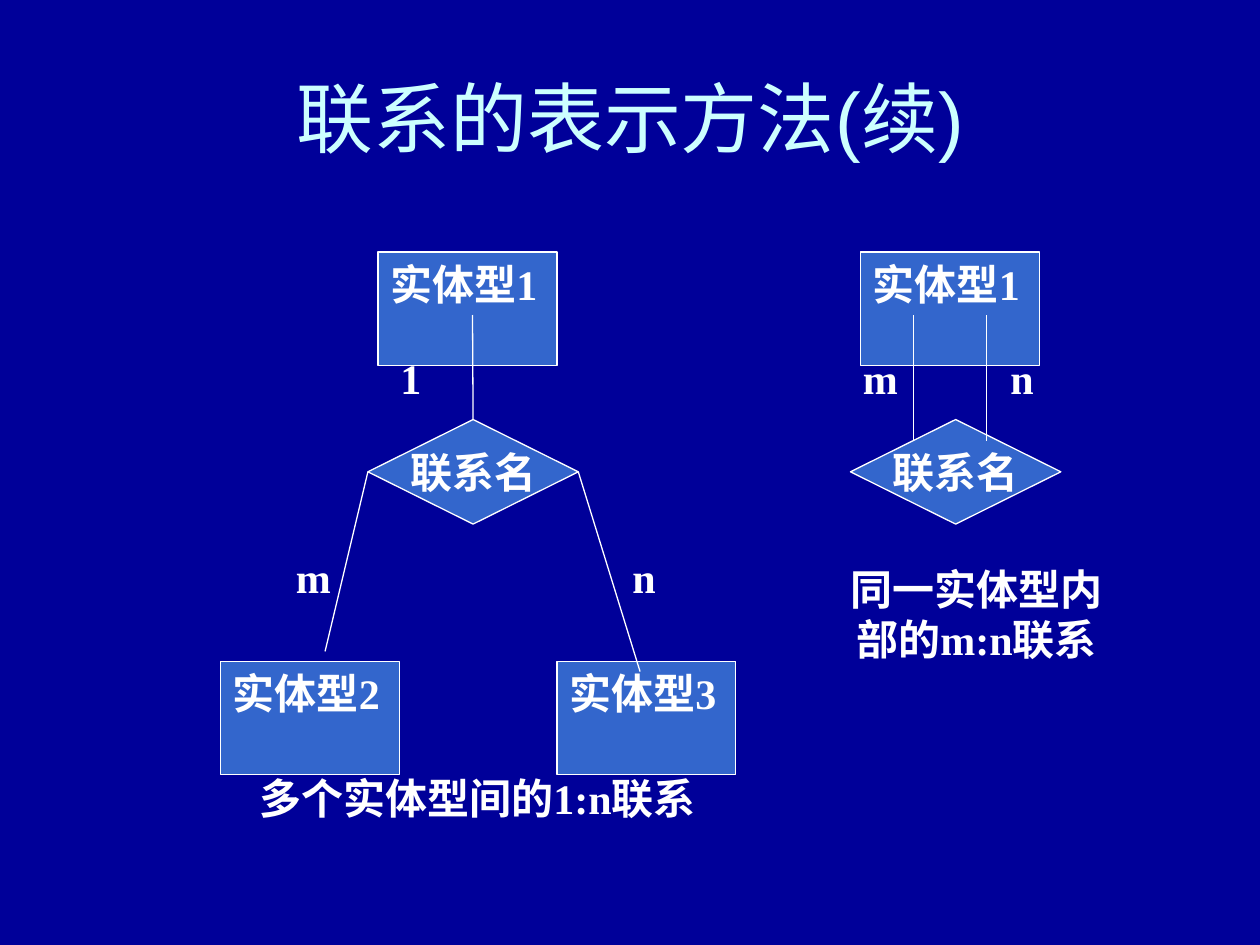
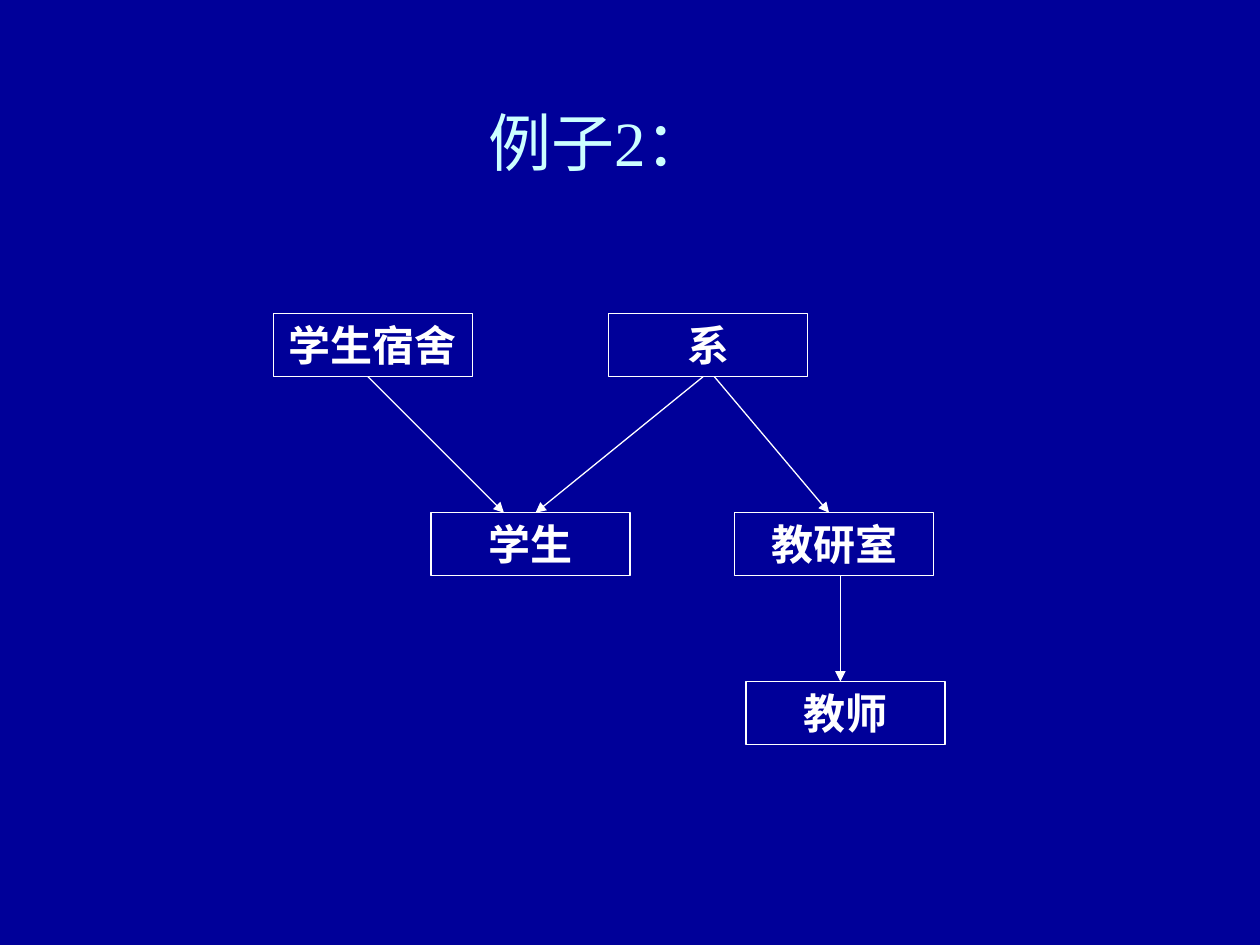
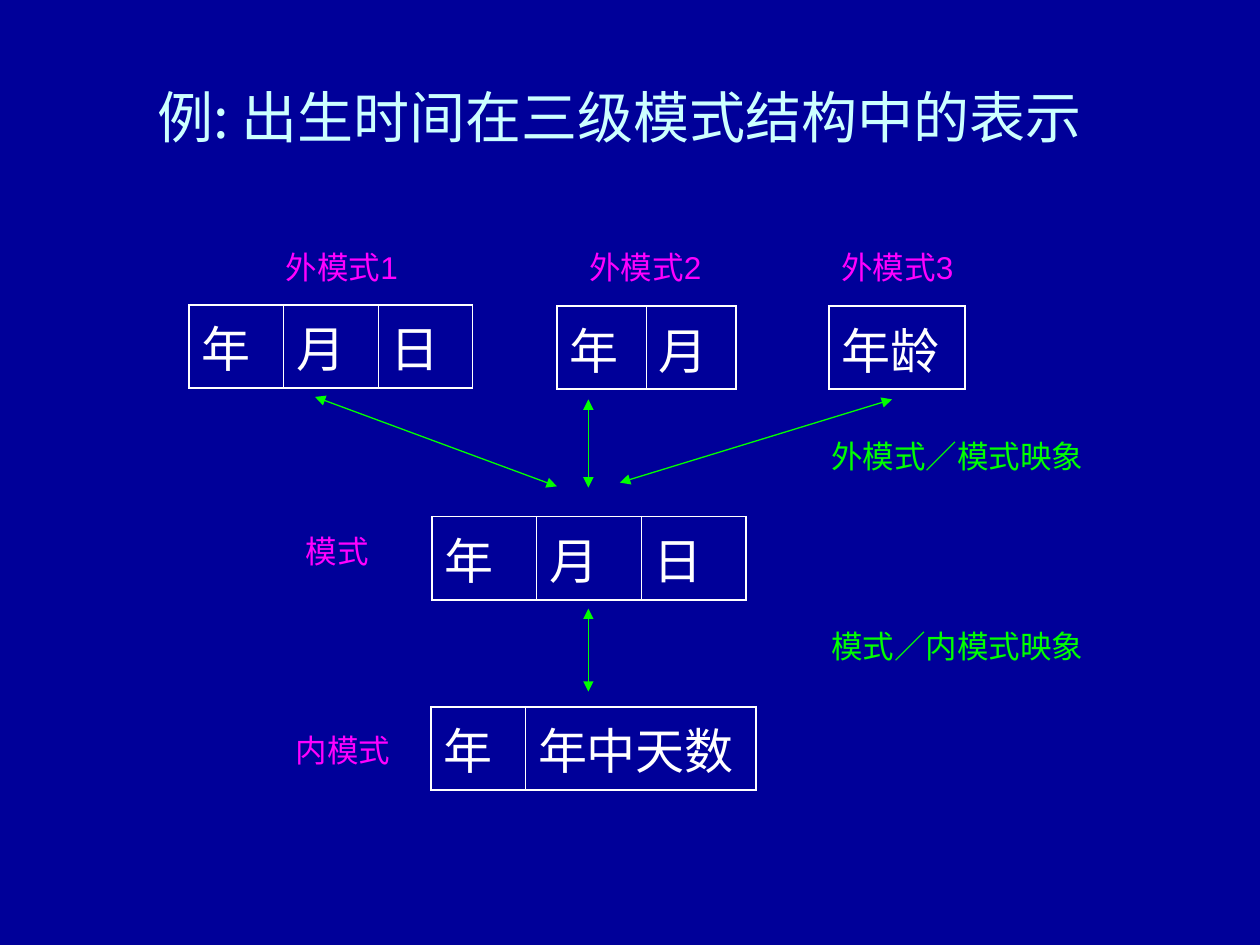
from lxml import etree
from pptx import Presentation
from pptx import util as u
from pptx.dml import color
from pptx.enum import shapes, text
from pptx.oxml import ns

NAVY, BLUE, PALE = "000099", "3366CC", "CCFFFF"
WHITE, PINK, GREEN = "FFFFFF", "FF00FF", "00FF00"
SERIF, SANS, CJK = "Times New Roman", "Arial", "Noto Sans CJK JP"
RECT, GEM = shapes.MSO_SHAPE.RECTANGLE, shapes.MSO_SHAPE.DIAMOND
MID, LEFT = text.PP_ALIGN.CENTER, text.PP_ALIGN.LEFT
TOP, RIGHT_SIDE, LEFT_SIDE = 0, 3, 1


def rgb(code):
    return color.RGBColor.from_string(code)


def inch(*sizes):
    return [u.Inches(size) for size in sizes]


class Deck:
    """Holds the shared style and the current slide."""

    def __init__(self):
        self.prs = Presentation()
        self.prs.slide_width, self.prs.slide_height = inch(10, 7.5)
        fill = self.prs.slide_master.background.fill
        fill.solid()
        fill.fore_color.rgb = rgb(NAVY)

    def start(self, words, left, top, size, font):
        """Add a slide with its title."""
        self.slide = self.prs.slides.add_slide(self.prs.slide_layouts[6])
        box = self.slide.shapes.add_textbox(*inch(left, top, 9, 1.25))
        self.put(box.text_frame, words, size, font, PALE, align=MID)
        box.text_frame.vertical_anchor = text.MSO_ANCHOR.MIDDLE

    def put(self, frame, words, size, font, tint, bold=False, align=LEFT, pitch=None):
        """Add one run of text to a frame."""
        frame.word_wrap = True
        para = frame.paragraphs[0]
        para.alignment = align
        if pitch:
            para.line_spacing = u.Pt(pitch * size)
        run = para.add_run()
        run.text = words
        run.font.size, run.font.name, run.font.bold = u.Pt(size), font, bold
        run.font.color.rgb = rgb(tint)

    def note(self, words, left, top, wide, high=0.5, align=LEFT):
        """Bold white text of a diagram."""
        box = self.slide.shapes.add_textbox(*inch(left, top, wide, high))
        self.put(box.text_frame, words, 24, SERIF, WHITE, True, align, 1.2)

    def label(self, words, left, top, wide, tint):
        """Small coloured text."""
        box = self.slide.shapes.add_textbox(*inch(left, top, wide, 0.4))
        self.put(box.text_frame, words, 18, SANS, tint, pitch=1.2)

    def node(self, words, left, top, wide, high, kind=RECT, fill=None, align=MID):
        """Outlined shape with bold text."""
        item = self.slide.shapes.add_shape(kind, *inch(left, top, wide, high))
        item.shadow.inherit = False
        if fill:
            item.fill.solid()
            item.fill.fore_color.rgb = rgb(fill)
        else:
            item.fill.background()
        item.line.color.rgb, item.line.width = rgb(WHITE), u.Pt(0.75)
        self.put(item.text_frame, words, 24, SERIF, WHITE, True, align, 1.2)
        gem = kind == GEM
        item.text_frame.word_wrap = not gem
        item.text_frame.vertical_anchor = (
            text.MSO_ANCHOR.MIDDLE if gem else text.MSO_ANCHOR.TOP)
        return item

    def line(self, start, end, tint=WHITE, ends=(), join=None):
        """Straight line; ends names the arrowheads, join is (shape, side)."""
        link = self.slide.shapes.add_connector(
            shapes.MSO_CONNECTOR.STRAIGHT, *inch(*start, *end))
        link.line.color.rgb, link.line.width = rgb(tint), u.Pt(0.75)
        if join:
            link.begin_connect(*join)
        props = link._element.spPr
        pen = props.find(ns.qn("a:ln"))
        for tip in ends:
            etree.SubElement(pen, ns.qn("a:" + tip), type="triangle")
        etree.SubElement(props, ns.qn("a:effectLst"))

    def grid(self, words, left, top, widths):
        """One-row table with thin inner and thicker outer rules."""
        last = len(words) - 1
        frame = self.slide.shapes.add_table(
            1, len(words), *inch(left, top, sum(widths), 0.66))
        table = frame.table
        table.first_row = table.horz_banding = False
        for col, (word, wide) in enumerate(zip(words, widths)):
            table.columns[col].width = u.Inches(wide)
            cell = table.cell(0, col)
            thick = {"L": col == 0, "R": col == last, "T": True, "B": True}
            for side, outer in thick.items():
                self.rule(cell, side, 1.08 if outer else 0.45)
            cell.fill.background()
            self.put(cell.text_frame, word, 28, SANS, WHITE)

    def rule(self, cell, side, weight):
        """Border on one side of a cell."""
        props = cell._tc.get_or_add_tcPr()
        pen = etree.SubElement(props, ns.qn("a:ln" + side), w=str(int(u.Pt(weight))))
        fill = etree.SubElement(pen, ns.qn("a:solidFill"))
        etree.SubElement(fill, ns.qn("a:srgbClr"), val=WHITE)


def links(deck):
    deck.start("联系的表示方法(续)", 0.5, 0.3, 44, SANS)

    # Entities and relationships
    for name, left, top in (("实体型1", 6.83, 2), ("实体型1", 3, 2),
                            ("实体型2", 1.75, 5.25), ("实体型3", 4.42, 5.25)):
        deck.node(name, left, top, 1.42, 0.9, fill=BLUE, align=LEFT)
    gems = [deck.node("联系名", left, 3.33, 1.67, 0.83, GEM, BLUE)
            for left in (2.92, 6.75)]

    # Lines of the tree, then of the loop
    for start, end, side in (((3.75, 3.33), (3.75, 2.5), TOP),
                             ((2.92, 3.75), (2.58, 5.17), LEFT_SIDE),
                             ((4.58, 3.75), (5.08, 5.33), RIGHT_SIDE)):
        deck.line(start, end, join=(gems[0], side))
    for x in (7.25, 7.83):
        deck.line((x, 2.5), (x, 3.5))

    # Degrees and captions
    for mark, left, top in (("m", 6.75, 2.75), ("n", 7.92, 2.75), ("1", 3.08, 2.75),
                            ("m", 2.25, 4.33), ("n", 4.92, 4.33)):
        deck.note(mark, left, top, 0.42)
    deck.note("同一实体型内部的m:n联系", 6.5, 4.42, 2.5, 0.9, MID)
    deck.note("多个实体型间的1:n联系", 1.75, 6.08, 4.08, align=MID)


def tree(deck):
    deck.start("例子2：", 0.25, 0.5, 36, SERIF)

    # Record types
    for name, left, top in (("学生宿舍", 2.17, 2.49), ("系", 4.83, 2.49),
                            ("学生", 3.42, 4.07), ("教研室", 5.83, 4.07),
                            ("教师", 5.92, 5.41)):
        deck.node(name, left, top, 1.58, 0.5)

    # Parent to child
    for start, end in (((2.92, 2.99), (4, 4.07)), ((5.58, 2.99), (4.25, 4.07)),
                       ((5.67, 2.99), (6.58, 4.07)), ((6.67, 4.57), (6.67, 5.41))):
        deck.line(start, end, ends=["tailEnd"])


def levels(deck):
    deck.start("例: 出生时间在三级模式结构中的表示", 0.42, 0.3, 32, CJK)

    # Records of each level
    date = ["年", "月", "日"]
    deck.grid(date, 1.5, 2.42, [0.75] * 3)
    deck.grid(date[:2], 4.42, 2.43, [0.71] * 2)
    deck.grid(["年龄"], 6.58, 2.43, [1.08])
    deck.grid(date, 3.43, 4.1, [0.83] * 3)
    deck.grid(["年", "年中天数"], 3.42, 5.61, [0.75, 1.83])

    # Names of the levels and mappings
    for num, left in enumerate((2.17, 4.58, 6.58), 1):
        deck.label(f"外模式{num}", left, 1.92, 1.42, PINK)
    deck.label("模式", 2.33, 4.17, 0.92, PINK)
    deck.label("内模式", 2.25, 5.75, 1.08, PINK)
    deck.label("外模式／模式映象", 6.5, 3.42, 2.33, GREEN)
    deck.label("模式／内模式映象", 6.5, 4.93, 2.33, GREEN)

    # Mappings
    for start, end in (((4.67, 4.83), (4.67, 5.49)), ((4.67, 3.17), (4.67, 3.87)),
                       ((2.5, 3.15), (4.42, 3.86)), ((7.08, 3.17), (4.92, 3.83))):
        deck.line(start, end, GREEN, ["headEnd", "tailEnd"])


def main():
    deck = Deck()
    for build in (links, tree, levels):
        build(deck)
    deck.prs.save("out.pptx")


if __name__ == "__main__":
    main()
